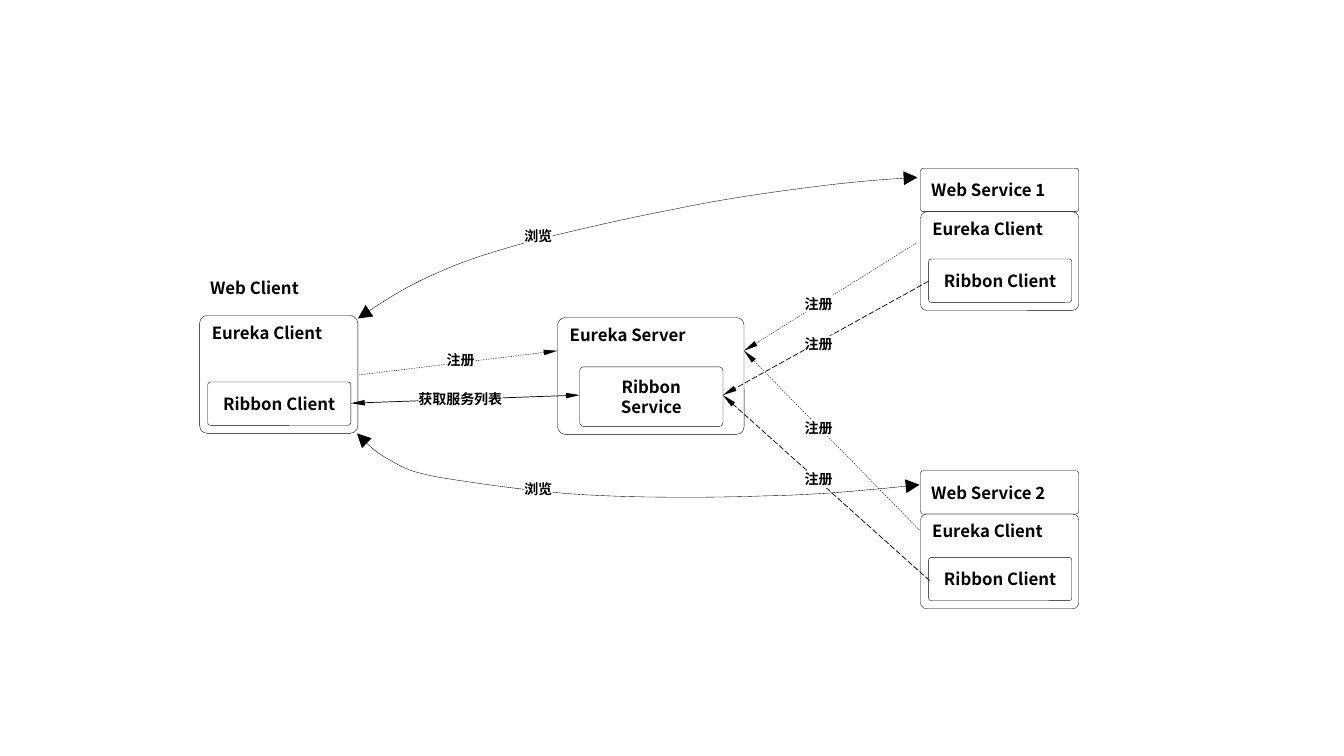
from lxml.etree import SubElement
from pptx import Presentation
from pptx.dml.color import RGBColor
from pptx.enum.dml import MSO_LINE
from pptx.enum.shapes import MSO_CONNECTOR, MSO_SHAPE
from pptx.enum.text import MSO_ANCHOR, PP_ALIGN
from pptx.oxml.ns import qn
from pptx.util import Inches, Pt

COLORS = {"ink": "000000", "paper": "FFFFFF"}
BOLD = {"name": "Noto Sans CJK SC", "size": Pt(12), "bold": True}
SMALL = {"name": "Arial", "size": Pt(10), "bold": True}
INSET = {"margin_left": Inches(0.1), "margin_right": Inches(0.1),
         "margin_top": Inches(0.05), "margin_bottom": Inches(0.05)}
FLUSH = dict.fromkeys(INSET, 0)
TOP = {**INSET, "word_wrap": True, "vertical_anchor": MSO_ANCHOR.TOP}
MID = {**TOP, "vertical_anchor": MSO_ANCHOR.MIDDLE}
TAG = {**FLUSH, "word_wrap": False, "vertical_anchor": MSO_ANCHOR.TOP}
DOTS = {"width": Pt(0.25), "dash_style": MSO_LINE.DASH}
DASHES = {"width": Pt(0.5), "dash_style": MSO_LINE.LONG_DASH}
SOLID = {"width": Pt(0.5)}
THIN = {"width": Pt(0.25)}


def color(key):
    return RGBColor.from_string(COLORS[key])


def apply(target, values):
    for name, value in values.items():
        setattr(target, name, value)


def write(shape, text, frame, font, align):
    apply(shape.text_frame, frame)
    para = shape.text_frame.paragraphs[0]
    para.alignment = align
    run = para.add_run()
    run.text = text
    apply(run.font, font)
    run.font.color.rgb = color("ink")


def ink(shape, style, ends, width, length):
    """Stroke a line and put arrowheads on the given ends."""
    shape.line.color.rgb = color("ink")
    apply(shape.line, style)
    line = shape.line._get_or_add_ln()
    for end in ends:
        SubElement(line, qn("a:" + end), type="triangle", w=width, len=length)


def block(slide, box, text, frame=TOP, align=PP_ALIGN.LEFT, framed=True):
    shape = slide.shapes.add_shape(MSO_SHAPE.ROUNDED_RECTANGLE, *map(Inches, box))
    shape.adjustments[0] = 0.066
    shape.shadow.inherit = False
    shape.fill.background()
    if framed:
        ink(shape, THIN, (), "med", "med")
    else:
        shape.line.fill.background()
    write(shape, text, frame, BOLD, align)


def node(slide, box, title, inner, dx=0.08, tall=0.43):
    """Outer block with a smaller one near its bottom edge."""
    x, y, wide, high = box
    block(slide, box, title)
    block(slide, (x + dx, y + high - 0.08 - tall, 1.42, tall), inner,
          MID, PP_ALIGN.CENTER)


def service(slide, box, title):
    """Header strip stacked on a client node."""
    x, y, wide, high = box
    head = 0.43
    block(slide, (x, y, wide, head), title, MID)
    node(slide, (x, y + head, wide, high - head), "Eureka Client", "Ribbon Client")


def arrow(slide, start, stop, style, ends=("tailEnd",)):
    link = slide.shapes.add_connector(MSO_CONNECTOR.STRAIGHT,
                                      *map(Inches, start + stop))
    ink(link, style, ends, "sm", "lg")
    SubElement(link._element.spPr, qn("a:effectLst"))


def curve(slide, start, parts):
    """Trace joined cubic curves as one fine open outline."""
    steps, dots, last = 12, [], start
    for part in parts:
        knots = (last, part[0:2], part[2:4], part[4:6])
        for i in range(1, steps + 1):
            t = i / steps
            rates = ((1 - t) ** 3, 3 * t * (1 - t) ** 2, 3 * t * t * (1 - t), t ** 3)
            dots.append([Inches(sum(r * k[axis] for r, k in zip(rates, knots)))
                         for axis in (0, 1)])
        last = knots[3]
    pen = slide.shapes.build_freeform(*map(Inches, start))
    pen.add_line_segments(dots, close=False)
    shape = pen.convert_to_shape()
    shape.shadow.inherit = False
    shape.fill.background()
    ink(shape, THIN, ("headEnd", "tailEnd"), "lg", "lg")


def label(slide, x, y, text):
    wide = 0.14 * len(text)
    shape = slide.shapes.add_shape(MSO_SHAPE.RECTANGLE,
                                   *map(Inches, (x, y, wide, 0.17)))
    shape.shadow.inherit = False
    shape.fill.solid()
    shape.fill.fore_color.rgb = color("paper")
    shape.line.fill.background()
    write(shape, text, TAG, SMALL, PP_ALIGN.LEFT)


def nodes(slide):
    node(slide, (5.53, 3.15, 1.85, 1.16), "Eureka Server", "Ribbon Service", 0.22, 0.59)
    block(slide, (1.98, 2.7, 1.29, 0.31), "Web Client", framed=False)
    node(slide, (1.98, 3.13, 1.57, 1.17), "Eureka Client", "Ribbon Client")
    service(slide, (9.13, 1.67, 1.57, 1.41), "Web Service 1")
    service(slide, (9.13, 4.67, 1.57, 1.37), "Web Service 2")


def links(slide):
    server, ribbon = (7.38, 3.48), (7.17, 3.92)
    for start, stop, style in (
            ((9.09, 2.41), server, DOTS), ((9.12, 5.26), server, DOTS),
            ((9.22, 5.76), ribbon, DASHES), ((9.21, 2.79), ribbon, DASHES),
            ((3.56, 3.72), (5.53, 3.48), DOTS)):
        arrow(slide, start, stop, style)
    arrow(slide, (3.48, 4), (5.75, 3.92), SOLID, ("headEnd", "tailEnd"))
    curve(slide, (3.55, 3.16), (
        (3.8, 2.99, 4.03, 2.84, 4.31, 2.72), (4.59, 2.59, 4.85, 2.51, 5.24, 2.4),
        (5.64, 2.3, 6.19, 2.17, 6.67, 2.08), (7.14, 1.98, 7.62, 1.91, 8.1, 1.85),
        (8.57, 1.79, 8.94, 1.77, 9.1, 1.76)))
    curve(slide, (3.54, 4.3), (
        (3.62, 4.38, 3.72, 4.49, 3.86, 4.56), (4, 4.64, 4.05, 4.68, 4.38, 4.74),
        (4.7, 4.79, 5.28, 4.88, 5.82, 4.91), (6.36, 4.94, 7.04, 4.94, 7.59, 4.92),
        (8.14, 4.91, 8.63, 4.86, 9.12, 4.81)))


def labels(slide):
    label(slide, 4.43, 3.49, "注册")
    label(slide, 4.15, 3.87, "获取服务列表")
    for y in (2.93, 3.33, 4.16, 4.67):
        label(slide, 7.98, y, "注册")
    for y in (2.26, 4.77):
        label(slide, 5.2, y, "浏览")


deck = Presentation()
apply(deck, {"slide_width": Inches(13.33), "slide_height": Inches(7.5)})
page = deck.slides.add_slide(deck.slide_layouts[6])
nodes(page)
links(page)
labels(page)
deck.save("out.pptx")
